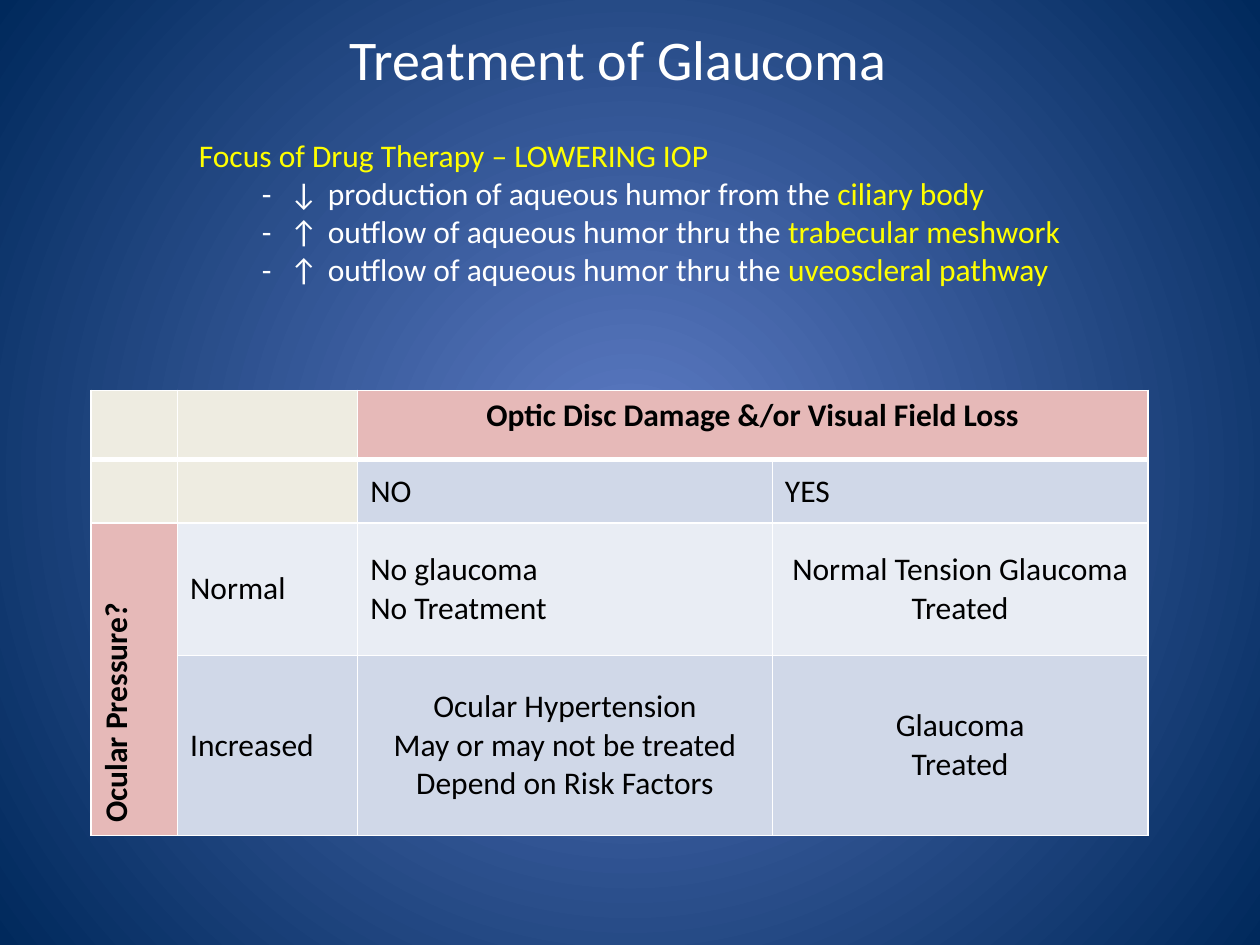
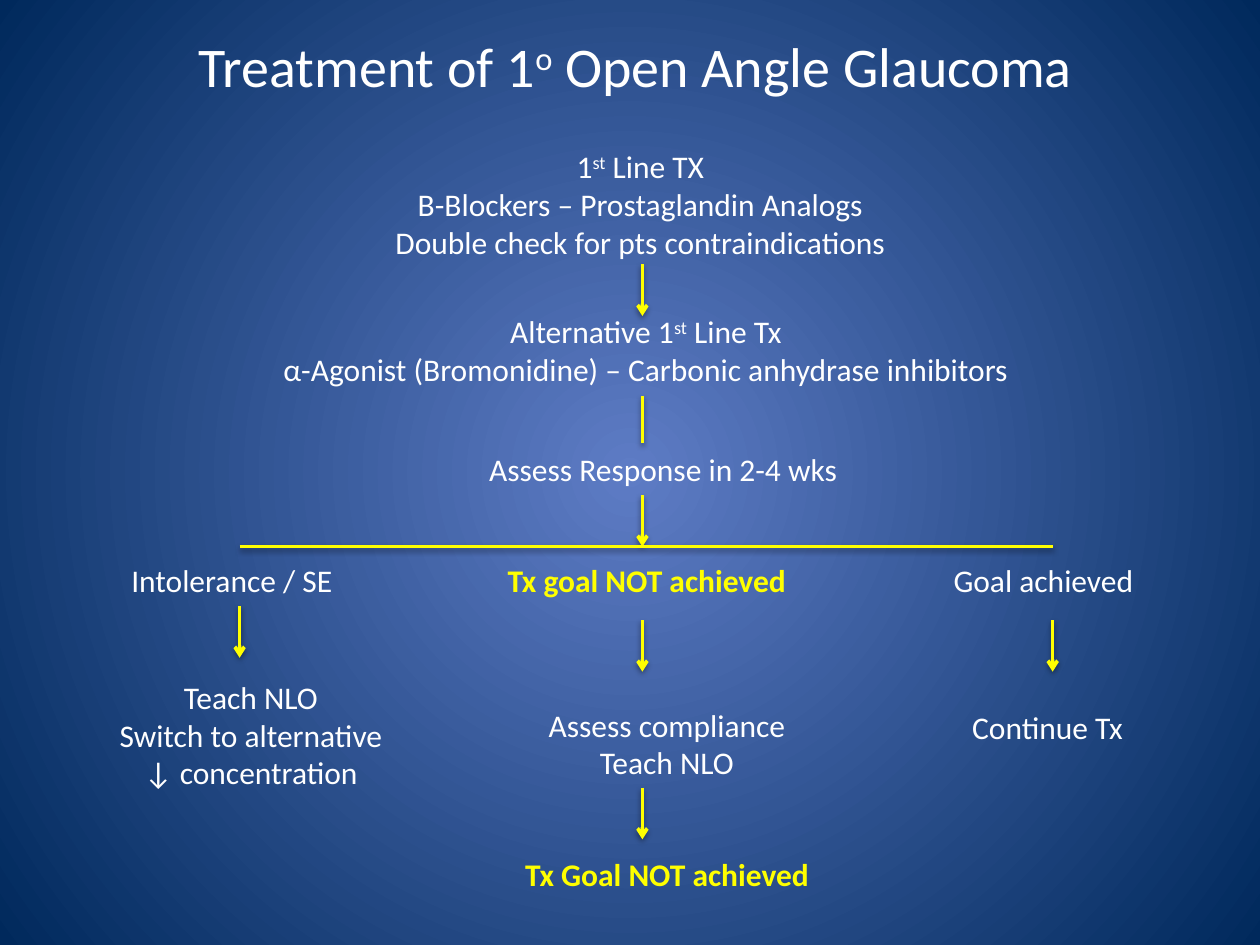
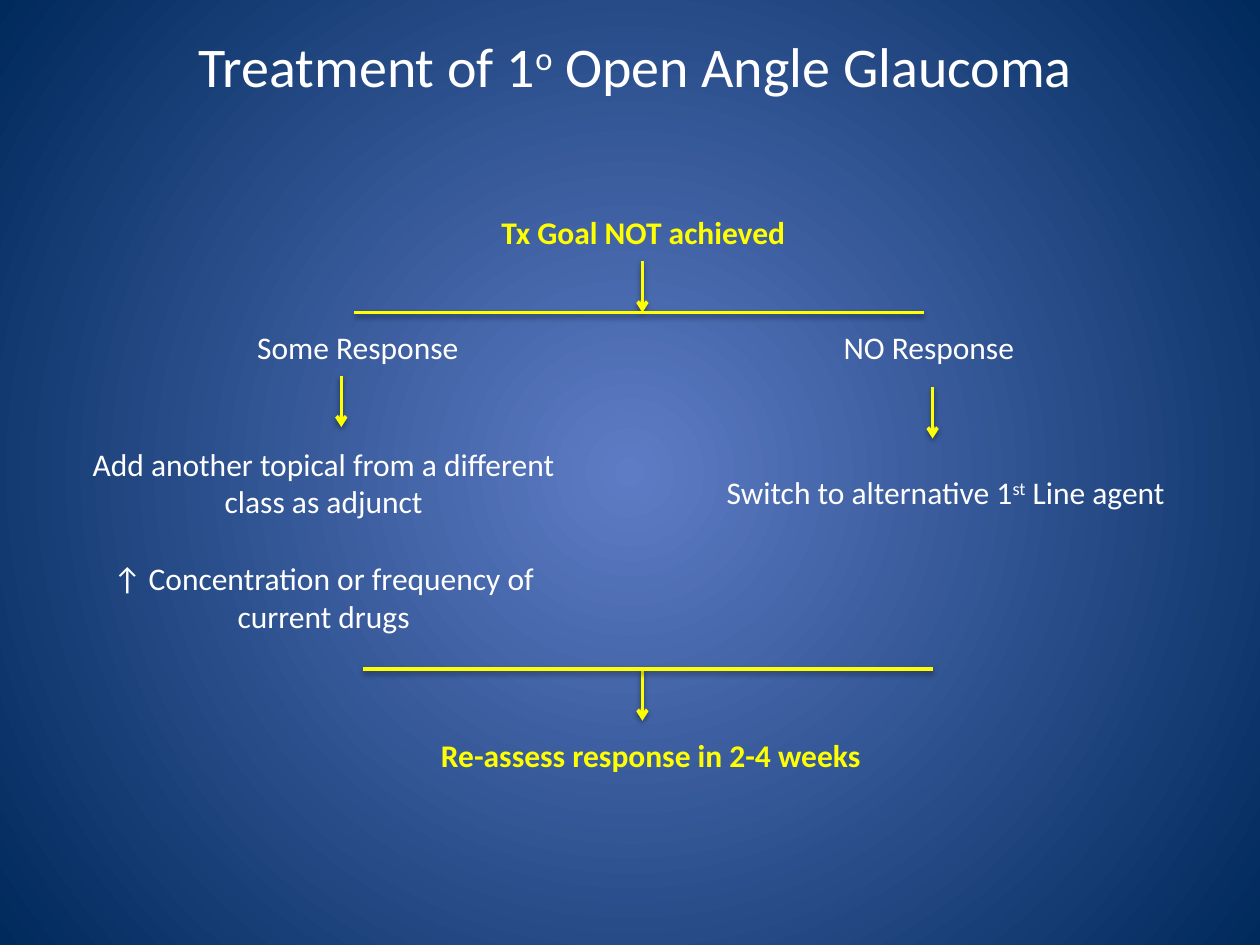
from pptx import Presentation
from pptx.dml.color import RGBColor
from pptx.enum.shapes import MSO_CONNECTOR
from pptx.enum.text import MSO_ANCHOR, MSO_AUTO_SIZE, PP_ALIGN
from pptx.oxml import parse_xml
from pptx.oxml.ns import nsdecls, qn
from pptx.util import Cm, Pt

WHITE, YELLOW, BLACK = "FFFFFF", "FFFF00", "000000"
CREAM, PINK, BLUE, PALE_BLUE = "EEECE1", "E6B9B8", "D0D8E8", "E9EDF4"
LEFT, CENTER = PP_ALIGN.LEFT, PP_ALIGN.CENTER
FLOW_X = 12.95
ARROW_LENGTH = 1.04

STYLES = {
    "title": {"size": Pt(32), "color": WHITE},
    "body": {"size": Pt(18), "color": WHITE},
    "goal": {"size": Pt(18), "color": YELLOW, "bold": True},
    "cell": {"size": Pt(18), "color": BLACK, "bold": False},
    "heading": {"size": Pt(18), "color": BLACK, "bold": True},
}


def write_text(frame, paragraphs, style, alignment):
    """Fill a frame; a paragraph is a string or a list of strings and (mark, text) pairs."""
    for index, content in enumerate(paragraphs):
        paragraph = frame.add_paragraph() if index else frame.paragraphs[0]
        paragraph.alignment = alignment
        for part in [content] if isinstance(content, str) else content:
            mark, text = ("", part) if isinstance(part, str) else part
            run = paragraph.add_run()
            run.text = text
            run.font.name = "Calibri"
            for name, value in STYLES[style].items():
                if name == "color":
                    value = YELLOW if mark == "key" else value
                    run.font.color.rgb = RGBColor.from_string(value)
                else:
                    setattr(run.font, name, value)
            if mark == "raised":
                run._r.get_or_add_rPr().set("baseline", "30000")


def add_line(slide, start_x, start_y, end_x, end_y, arrow=False):
    connector = slide.shapes.add_connector(
        MSO_CONNECTOR.STRAIGHT, Cm(start_x), Cm(start_y), Cm(end_x), Cm(end_y))
    connector.line.width = Pt(2)
    connector.line.color.rgb = RGBColor.from_string(YELLOW)
    if arrow:
        connector.line._get_or_add_ln().append(
            parse_xml(f'<a:tailEnd {nsdecls("a")} type="arrow"/>'))
    connector._element.spPr.append(parse_xml(
        f'<a:effectLst {nsdecls("a")}>'
        f'<a:outerShdw blurRad="{Pt(3.1)}" dist="{Pt(1.6)}" dir="5400000" rotWithShape="0">'
        f'<a:srgbClr val="{BLACK}"><a:alpha val="38000"/></a:srgbClr>'
        '</a:outerShdw></a:effectLst>'))


presentation = Presentation()
presentation.slide_width, presentation.slide_height = Cm(25.4), Cm(19.05)

# Shared radial background
master_content = presentation.slide_master.element.find(qn("p:cSld"))
for background in master_content.findall(qn("p:bg")):
    master_content.remove(background)
master_content.insert(0, parse_xml(
    f'<p:bg {nsdecls("p", "a")}><p:bgPr><a:gradFill rotWithShape="1"><a:gsLst>'
    '<a:gs pos="0"><a:srgbClr val="5E7CC5"/></a:gs>'
    '<a:gs pos="100000"><a:srgbClr val="00295C"/></a:gs></a:gsLst>'
    '<a:path path="circle"><a:fillToRect l="50000" t="50000" r="50000" b="50000"/></a:path>'
    '</a:gradFill><a:effectLst/></p:bgPr></p:bg>'))

overview, first_line, no_goal = [
    presentation.slides.add_slide(presentation.slide_layouts[6]) for _ in range(3)]

# Titles
open_angle = ["Treatment of 1", ("raised", "o"), " Open Angle Glaucoma"]
for slide, left, top, width, title in [
    (overview, 3.94, 0.3, 17.04, "Treatment of Glaucoma"),
    (first_line, 3.38, 0.43, 18.87, open_angle),
    (no_goal, 3.38, 0.43, 18.87, open_angle),
]:
    shape = slide.shapes.add_textbox(Cm(left), Cm(top), Cm(width), Cm(1.75))
    shape.text_frame.word_wrap = True
    shape.text_frame.vertical_anchor = MSO_ANCHOR.MIDDLE
    write_text(shape.text_frame, [title], "title", CENTER)

# Text blocks: slide, left, top, width, lines, style, alignment, paragraphs
boxes = {}
for slide, left, top, width, lines, style, alignment, paragraphs in [
    (overview, 3.76, 2.62, 18.52, 4, "body", LEFT, [
        [("key", "Focus of Drug Therapy – LOWERING IOP")],
        ["\t-\t↓\tproduction of aqueous humor from the ", ("key", "ciliary body")],
        ["\t-\t↑\toutflow of aqueous humor thru the ", ("key", "trabecular meshwork")],
        ["\t-\t↑\toutflow of aqueous humor thru the ", ("key", "uveoscleral pathway")]]),
    (first_line, 7.32, 2.84, 11.18, 3, "body", CENTER, [
        ["1", ("raised", "st"), " Line TX"],
        "Β-Blockers – Prostaglandin Analogs",
        "Double check for pts contraindications"]),
    (first_line, 4.83, 6.17, 16.38, 2, "body", CENTER, [
        ["Alternative 1", ("raised", "st"), " Line Tx"],
        "α-Agonist (Bromonidine) – Carbonic anhydrase inhibitors"]),
    (first_line, 9.19, 8.94, 8.36, 1, "body", CENTER, ["Assess Response in 2-4 wks"]),
    (first_line, 2.01, 11.18, 5.33, 1, "body", CENTER, ["Intolerance / SE"]),
    (first_line, 9.8, 11.18, 6.48, 1, "goal", CENTER, ["Tx goal NOT achieved"]),
    (first_line, 18.52, 11.18, 5.03, 1, "body", CENTER, ["Goal achieved"]),
    (first_line, 2.01, 13.54, 6.1, 3, "body", CENTER, [
        "Teach NLO", "Switch to alternative", "↓ concentration"]),
    (first_line, 10.64, 14.1, 5.61, 2, "body", CENTER, ["Assess compliance", "Teach NLO"]),
    (first_line, 19.35, 14.15, 3.76, 1, "body", LEFT, ["Continue Tx"]),
    (first_line, 10.21, 17.12, 6.48, 1, "goal", CENTER, ["Tx Goal NOT achieved"]),
    (no_goal, 4.55, 6.48, 5.33, 1, "body", CENTER, ["Some Response"]),
    (no_goal, 16.21, 6.48, 5.03, 1, "body", CENTER, ["NO Response"]),
    (no_goal, 1.14, 8.84, 10.77, 5, "body", CENTER, [
        "Add another topical from a different class as adjunct",
        "↑ Concentration or frequency of current drugs"]),
    (no_goal, 14.4, 9.42, 9.5, 1, "body", LEFT, [
        ["Switch to alternative 1", ("raised", "st"), " Line agent"]]),
    (no_goal, 9.73, 4.17, 6.48, 1, "goal", CENTER, ["Tx Goal NOT achieved"]),
    (no_goal, 8.64, 14.71, 9.07, 1, "goal", LEFT, ["Re-assess response in 2-4 weeks"]),
]:
    shape = slide.shapes.add_textbox(
        Cm(left), Cm(top), Cm(width), Cm(0.25 + 0.77 * lines))
    shape.text_frame.word_wrap = True
    shape.text_frame.auto_size = MSO_AUTO_SIZE.SHAPE_TO_FIT_TEXT
    write_text(shape.text_frame, paragraphs, style, alignment)
    boxes[slide.slide_id, lines] = shape

# Tab stops line up the dash, the arrow and the text of each focus
for paragraph in boxes[overview.slide_id, 4].text_frame.paragraphs[1:]:
    stops = "".join(f'<a:tab pos="{Cm(stop)}" algn="l"/>' for stop in (1.27, 1.83, 2.6))
    paragraph._p.get_or_add_pPr().append(
        parse_xml(f'<a:tabLst {nsdecls("a")}>{stops}</a:tabLst>'))
boxes[no_goal.slide_id, 5].text_frame.paragraphs[1].space_before = Pt(22)

# Flow lines
for slide, x, top in [
    (first_line, FLOW_X, 5.33), (first_line, FLOW_X, 9.98), (first_line, 21.22, 12.5),
    (first_line, FLOW_X, 12.5), (first_line, 4.83, 12.22), (first_line, FLOW_X, 15.88),
    (no_goal, FLOW_X, 5.26), (no_goal, 18.8, 7.8), (no_goal, 6.88, 7.57),
    (no_goal, FLOW_X, 13.49),
]:
    add_line(slide, x, top, x, top + ARROW_LENGTH, arrow=True)
add_line(first_line, FLOW_X, 7.98, FLOW_X, 8.94)
for slide, start, end, y in [
    (first_line, 4.83, 21.23, 11.02), (no_goal, 7.14, 18.62, 6.3), (no_goal, 7.32, 18.8, 13.49),
]:
    add_line(slide, start, y, end, y)

# Pressure and damage table: each cell is fill, style, alignment, paragraphs
empty = (CREAM, "cell", LEFT, [])
pressure = (PINK, "heading", LEFT, ["Ocular Pressure?"])
damage = (PINK, "heading", CENTER, ["Optic Disc Damage &/or Visual Field Loss"])
rows = [
    [empty, empty, damage, (PINK, "cell", LEFT, [])],
    [empty, empty, (BLUE, "cell", LEFT, ["NO"]), (BLUE, "cell", LEFT, ["YES"])],
    [pressure,
     (PALE_BLUE, "cell", LEFT, ["Normal"]),
     (PALE_BLUE, "cell", LEFT, ["No glaucoma", "No Treatment"]),
     (PALE_BLUE, "cell", CENTER, ["Normal Tension Glaucoma", "Treated"])],
    [(PINK, "cell", LEFT, []),
     (BLUE, "cell", LEFT, ["Increased"]),
     (BLUE, "cell", CENTER, [
         "Ocular Hypertension", "May or may not be treated", "Depend on Risk Factors"]),
     (BLUE, "cell", CENTER, ["Glaucoma", "Treated"])],
]
table = overview.shapes.add_table(4, 4, Cm(1.83), Cm(7.87), Cm(21.31), Cm(8.97)).table
table.first_row = table.horz_banding = False
for column, width in zip(table.columns, (1.75, 3.63, 8.36, 7.57)):
    column.width = Cm(width)
for row, height in zip(table.rows, (1.4, 1.27, 2.67, 3.63)):
    row.height = Cm(height)
for row_index, row in enumerate(rows):
    for column_index, (fill, style, alignment, paragraphs) in enumerate(row):
        cell = table.cell(row_index, column_index)
        cell.vertical_anchor = MSO_ANCHOR.MIDDLE if row_index else MSO_ANCHOR.TOP
        properties = cell._tc.get_or_add_tcPr()
        for side in "LRTB":
            width = 3 if (row_index, side) in [(0, "B"), (1, "T")] else 1
            properties.append(parse_xml(
                f'<a:ln{side} {nsdecls("a")} w="{Pt(width)}"><a:solidFill>'
                f'<a:srgbClr val="{WHITE}"/></a:solidFill></a:ln{side}>'))
        cell.fill.solid()
        cell.fill.fore_color.rgb = RGBColor.from_string(fill)
        write_text(cell.text_frame, paragraphs, style, alignment)
table.cell(0, 2).merge(table.cell(0, 3))
table.cell(2, 0).merge(table.cell(3, 0))
table.cell(2, 0)._tc.get_or_add_tcPr().set("vert", "vert270")

presentation.save("out.pptx")
